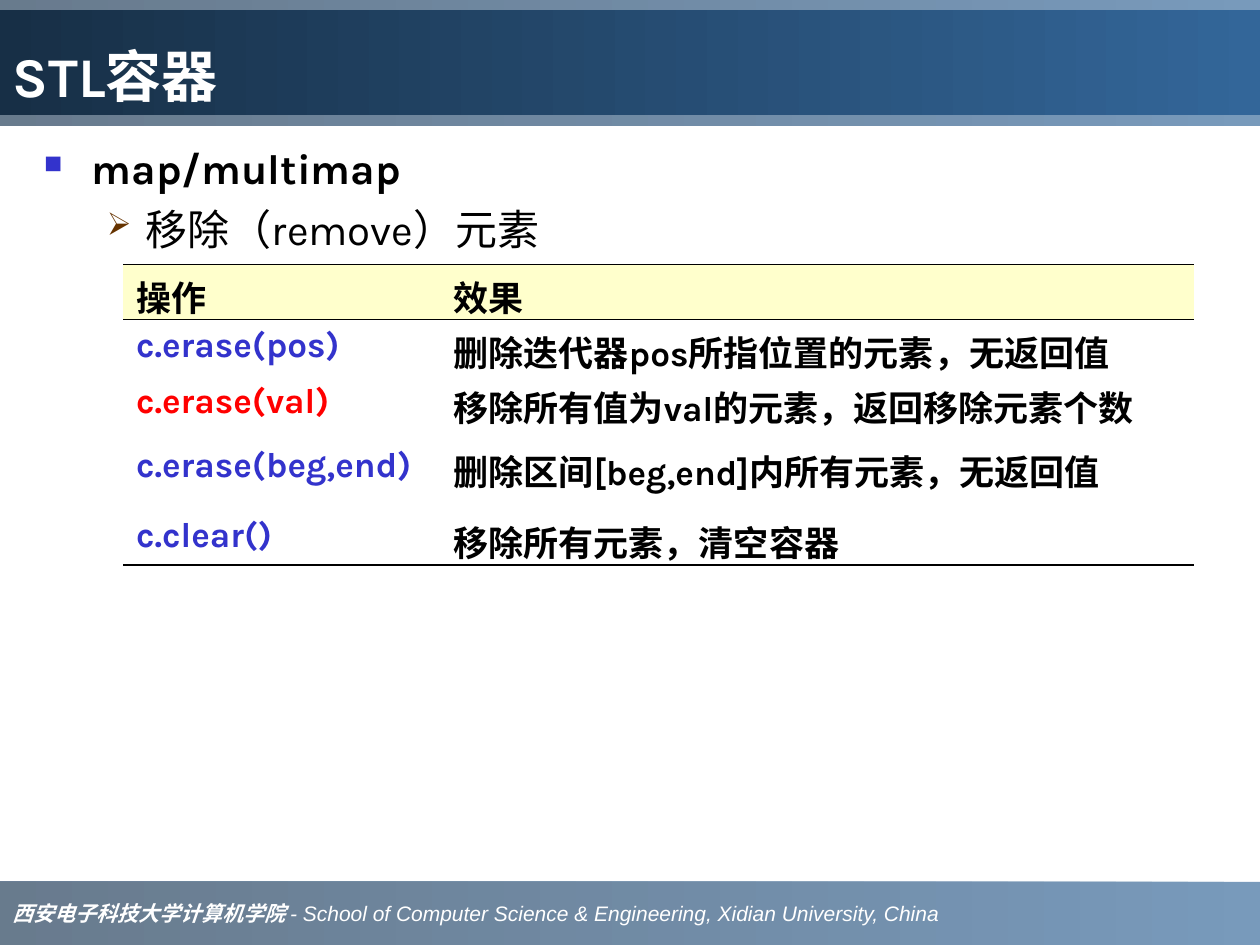
from lxml import etree
from pptx import Presentation
from pptx.dml.color import RGBColor
from pptx.enum.shapes import MSO_SHAPE
from pptx.enum.text import MSO_ANCHOR, MSO_AUTO_SIZE, PP_ALIGN
from pptx.oxml.ns import qn
from pptx.util import Inches, Pt

RECT = MSO_SHAPE.RECTANGLE
MIDDLE, BOTTOM = MSO_ANCHOR.MIDDLE, MSO_ANCHOR.BOTTOM
LEFT = PP_ALIGN.LEFT
NO_FIT = MSO_AUTO_SIZE.NONE
TITLE_ONLY = 5

BLACK = RGBColor(0x00, 0x00, 0x00)
WHITE = RGBColor(0xFF, 0xFF, 0xFF)
BLUE = RGBColor(0x33, 0x33, 0xCC)
RED = RGBColor(0xFF, 0x00, 0x00)
BROWN = RGBColor(0x66, 0x33, 0x00)
CREAM = RGBColor(0xFF, 0xFF, 0xCC)
SKY = RGBColor(0x33, 0x66, 0x99)
NAVY = RGBColor(0x1B, 0x37, 0x53)
DEEP = RGBColor(0x17, 0x2F, 0x46)

MAIN = "Karla"
THICK, THIN = 1.08, 0.75
COLS = (2.52, 5.98)
ROWS = (  # height, call, effect, colour of the call
    (0.35, "操作", "效果", BLACK),
    (0.44, "c.erase(pos)", "删除迭代器pos所指位置的元素，无返回值", BLUE),
    (0.51, "c.erase(val)", "移除所有值为val的元素，返回移除元素个数", RED),
    (0.56, "c.erase(beg,end)", "删除区间[beg,end]内所有元素，无返回值", BLUE),
    (0.44, "c.clear()", "移除所有元素，清空容器", BLUE),
)
POINTS = (  # text, bold, margin, indent, bullet, bullet colour, bullet size %
    ("map/multimap", True, 0.38, -0.38, "■", BLUE, 60),
    ("移除（remove）元素", False, 0.81, -0.31, "➢", BROWN, 75),
)


def style(font, name, size, color, bold=False, italic=False):
    font.name, font.size = name, Pt(size)
    font.bold, font.italic = bold, italic
    font.color.rgb = color


def shade(shape, dark, alpha=100):
    """Fill with a gradient from blue at the right to dark at the left."""
    shape.fill.gradient()
    shape.fill.gradient_angle = 180
    for stop, color in zip(shape.fill.gradient_stops, (SKY, dark)):
        stop.color.rgb = color
    for clr in shape._element.spPr.iter(qn("a:srgbClr")):
        if alpha < 100:
            etree.SubElement(clr, qn("a:alpha"), val=str(alpha * 1000))


def add_band(slide, box):
    band = slide.shapes.add_shape(RECT, *map(Inches, box))
    band.shadow.inherit = False
    band.line.fill.background()
    shade(band, NAVY, 66)
    return band


def add_foot(slide, box):
    frame = add_band(slide, box).text_frame
    frame.word_wrap = False
    frame.vertical_anchor = MIDDLE
    para = frame.paragraphs[0]
    para.alignment = LEFT
    for text, name, bold in (
        ("西安电子科技大学计算机学院 ", "Times New Roman", True),
        ("- School of Computer Science & Engineering, Xidian University, China",
         "Arial", False),
    ):
        run = para.add_run()
        run.text = text
        style(run.font, name, 12, WHITE, bold, True)


def add_head(slide, box):
    left, top, width, height = box
    add_band(slide, box)
    title = slide.shapes.title
    slide.shapes._spTree.append(title._element)  # in front of the band
    title.left, title.top = Inches(left), Inches(top + 0.08)
    title.width, title.height = Inches(width), Inches(height - 0.17)
    shade(title, DEEP)
    frame = title.text_frame
    frame.text = "STL容器"
    frame.auto_size = NO_FIT
    frame.vertical_anchor = BOTTOM
    para = frame.paragraphs[0]
    para.alignment = LEFT
    style(para.runs[0].font, MAIN, 32, WHITE, True)


def set_bullet(para, margin, indent, char, color, size):
    props = para._p.get_or_add_pPr()
    props.set("marL", str(Inches(margin)))
    props.set("indent", str(Inches(indent)))
    tint = etree.SubElement(props, qn("a:buClr"))
    etree.SubElement(tint, qn("a:srgbClr"), val=str(color))
    etree.SubElement(props, qn("a:buSzPct"), val=str(size * 1000))
    etree.SubElement(props, qn("a:buChar"), char=char)


def add_points(slide, box):
    frame = slide.shapes.add_textbox(*map(Inches, box)).text_frame
    frame.word_wrap = True
    for i, (text, bold, *bullet) in enumerate(POINTS):
        para = frame.add_paragraph() if i else frame.paragraphs[0]
        para.text = text
        para.level = i
        if i:
            para.space_before = Pt(6)
        set_bullet(para, *bullet)
        style(para.runs[0].font, MAIN, 24, BLACK, bold)


def set_edges(cell, top, bottom):
    """Draw black lines of the given widths; zero means no line."""
    props = cell._tc.get_or_add_tcPr()
    for side, width in (("L", 0), ("R", 0), ("T", top), ("B", bottom)):
        line = etree.SubElement(props, qn("a:ln" + side), w=str(Pt(width)))
        if width:
            fill = etree.SubElement(line, qn("a:solidFill"))
            etree.SubElement(fill, qn("a:srgbClr"), val=str(BLACK))
        else:
            etree.SubElement(line, qn("a:noFill"))


def add_grid(slide, box):
    grid = slide.shapes.add_table(
        len(ROWS), len(COLS), *map(Inches, box)).table
    grid.first_row = grid.horz_banding = False
    for col, width in zip(grid.columns, COLS):
        col.width = Inches(width)
    tops = {0: THICK, 1: THIN}
    ends = {0: THIN, len(ROWS) - 1: THICK}
    for r, (height, call, effect, color) in enumerate(ROWS):
        grid.rows[r].height = Inches(height)
        for c, (text, ink) in enumerate(((call, color), (effect, BLACK))):
            cell = grid.cell(r, c)
            set_edges(cell, tops.get(r, 0), ends.get(r, 0))
            if r == 0:
                cell.fill.solid()
                cell.fill.fore_color.rgb = CREAM
            else:
                cell.fill.background()
            cell.text_frame.text = text
            para = cell.text_frame.paragraphs[0]
            style(para.runs[0].font, MAIN, 20, ink, True)


def main():
    prs = Presentation()
    prs.slide_width, prs.slide_height = Inches(10), Inches(7.5)
    slide = prs.slides.add_slide(prs.slide_layouts[TITLE_ONLY])
    add_foot(slide, (0, 7, 10, 0.5))
    add_head(slide, (0, 0, 10, 1))
    add_points(slide, (0.25, 1.08, 9.42, 5.83))
    add_grid(slide, (0.98, 2.1, 8.5, 2.3))
    prs.save("out.pptx")


if __name__ == "__main__":
    main()
